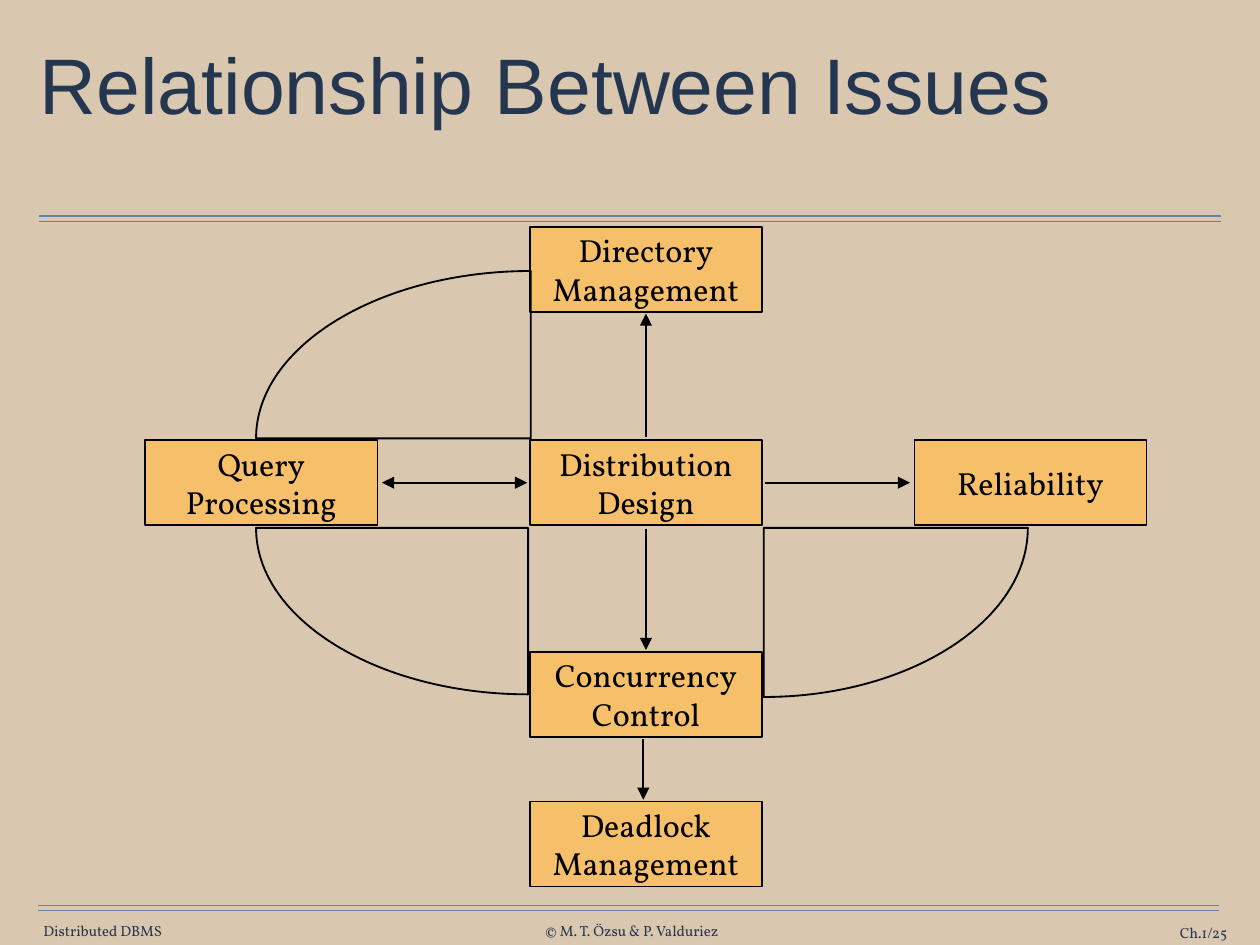
from lxml import etree
from pptx import Presentation
from pptx.dml.color import RGBColor
from pptx.enum.shapes import MSO_CONNECTOR, MSO_SHAPE
from pptx.enum.text import MSO_ANCHOR, PP_ALIGN
from pptx.oxml.ns import qn
from pptx.util import Inches, Pt

STRAIGHT = MSO_CONNECTOR.STRAIGHT
RECTANGLE = MSO_SHAPE.RECTANGLE
TOP, MIDDLE = MSO_ANCHOR.TOP, MSO_ANCHOR.MIDDLE
LEFT, CENTER, RIGHT = PP_ALIGN.LEFT, PP_ALIGN.CENTER, PP_ALIGN.RIGHT

SAND = RGBColor(0xD9, 0xC8, 0xAF)
TITLE_NAVY = RGBColor(0x25, 0x37, 0x50)
FOOTER_NAVY = RGBColor(0x26, 0x37, 0x50)
RULE_BLUE = RGBColor(0x66, 0x82, 0xAA)
ORANGE = RGBColor(0xF6, 0xBF, 0x69)
BLACK = RGBColor(0, 0, 0)

BOX_WIDTH, BOX_HEIGHT = 2.62, 0.96
COLUMN_STEP = 4.34
ROWS = (0, 2.41, 4.8, 6.49)
QUARTER_ARC = 0.55  # Bezier handle length for a quarter ellipse

# Text, column, row
ISSUES = (
    ("Directory\nManagement", 1, 0),
    ("Reliability", 2, 1),
    ("Deadlock\nManagement", 1, 3),
    ("Query\nProcessing", 0, 1),
    ("Concurrency\nControl", 1, 2),
    ("Distribution\nDesign", 1, 1),
)
# Start and end within the diagram, a little clear of the boxes; both ends
ARROWS = (
    ((5.65, 2.38), (5.65, 0.98), False),
    ((5.65, 3.41), (5.65, 4.78), False),
    ((5.62, 5.78), (5.62, 6.47), False),
    ((6.99, 2.89), (8.63, 2.89), False),
    ((2.67, 2.89), (4.31, 2.89), True),
)
# Corner x and y within the diagram, signed horizontal and vertical radius
SECTORS = (
    (4.35, 2.39, -3.1, -1.89),
    (4.32, 3.4, -3.07, 1.88),
    (6.98, 3.4, 2.98, 1.91),
)


def add_line(slide, start, end, color, width):
    line = slide.shapes.add_connector(
        STRAIGHT, *(Inches(value) for value in (*start, *end)))
    line.line.color.rgb = color
    line.line.width = Pt(width)
    etree.SubElement(line._element.spPr, qn("a:effectLst"))
    return line


def add_double_rule(slide, left, top, width):
    for y in (top, top + 0.06):
        add_line(slide, (left, y), (left + width, y), RULE_BLUE, 1)


def write_text(shape, text, font, size, color, align, anchor, margins):
    frame = shape.text_frame
    frame.text = text
    frame.word_wrap = True
    frame.vertical_anchor = anchor
    frame.margin_left = frame.margin_right = Inches(margins[0])
    frame.margin_top = frame.margin_bottom = Inches(margins[1])
    for paragraph in frame.paragraphs:
        paragraph.alignment = align
        paragraph.font.name = font
        paragraph.font.size = Pt(size)
        paragraph.font.color.rgb = color


def add_title(slide, left, top, width, height):
    add_double_rule(slide, left + 0.05, top + 1.95, 13.34)
    title = slide.shapes.add_textbox(
        Inches(left), Inches(top), Inches(width), Inches(height))
    write_text(title, "Relationship Between Issues", "Arial", 64, TITLE_NAVY,
               LEFT, TOP, (0.06, 0.06))
    title.text_frame.paragraphs[0].line_spacing = 0.87


def add_footer(slide, left, top):
    add_double_rule(slide, left, top, 13.33)
    for text, x, y, width, align in (
        ("Distributed DBMS", 0.04, 0.19, 1.38, CENTER),
        ("© M. T. Özsu & P. Valduriez", 5.66, 0.19, 2.08, CENTER),
        ("Ch.1/25", 11.88, 0.21, 1.54, RIGHT),
    ):
        label = slide.shapes.add_textbox(
            Inches(left + x), Inches(top + y), Inches(width), Inches(0.2))
        write_text(label, text, "Vollkorn", 12, FOOTER_NAVY, align, MIDDLE, (0, 0))
        label.text_frame.word_wrap = False


def add_issue(slide, left, top, text):
    box = slide.shapes.add_shape(
        RECTANGLE, Inches(left), Inches(top),
        Inches(BOX_WIDTH), Inches(BOX_HEIGHT))
    box.shadow.inherit = False
    box.fill.solid()
    box.fill.fore_color.rgb = ORANGE
    box.line.color.rgb = BLACK
    box.line.width = Pt(1.5)
    write_text(box, text, "Vollkorn", 26, BLACK, CENTER, MIDDLE, (0.14, 0.07))


def add_arrow(slide, start, end, both_ends):
    arrow = add_line(slide, start, end, BLACK, 1.5)
    line_properties = arrow.line._get_or_add_ln()
    for tag in ("a:headEnd", "a:tailEnd") if both_ends else ("a:tailEnd",):
        etree.SubElement(line_properties, qn(tag),
                         type="triangle", w="lg", len="lg")


def bend_first_side(freeform):
    """Turn the first straight side of a freeform into a quarter ellipse."""
    side = next(freeform._element.iter(qn("a:lnTo")))
    (x1, y1), (x2, y2) = (
        (int(point.get("x")), int(point.get("y")))
        for point in (side.getprevious()[0], side[0]))
    curve = etree.Element(qn("a:cubicBezTo"))
    for x, y in (
        (x1, y1 + QUARTER_ARC * (y2 - y1)),
        (x2 + QUARTER_ARC * (x1 - x2), y2),
        (x2, y2),
    ):
        etree.SubElement(curve, qn("a:pt"), x=str(round(x)), y=str(round(y)))
    side.getparent().replace(side, curve)


def add_sector(slide, x, y, radius_x, radius_y):
    """Draw a quarter ellipse with its square corner at (x, y)."""
    builder = slide.shapes.build_freeform(Inches(x + radius_x), Inches(y))
    builder.add_line_segments(
        [(Inches(x), Inches(y + radius_y)), (Inches(x), Inches(y))], close=True)
    sector = builder.convert_to_shape()
    bend_first_side(sector)
    sector.shadow.inherit = False
    sector.fill.background()
    sector.line.color.rgb = BLACK
    sector.line.width = Pt(1.5)


def add_diagram(slide, left, top):
    for text, column, row in ISSUES:
        add_issue(slide, left + column * COLUMN_STEP, top + ROWS[row], text)
    for (x1, y1), (x2, y2), both_ends in ARROWS:
        add_arrow(slide, (left + x1, top + y1), (left + x2, top + y2), both_ends)
    for x, y, radius_x, radius_y in SECTORS:
        add_sector(slide, left + x, top + y, radius_x, radius_y)


def main():
    presentation = Presentation()
    presentation.slide_width = Inches(14.22)
    presentation.slide_height = Inches(10.67)
    slide = presentation.slides.add_slide(presentation.slide_layouts[6])
    slide.background.fill.solid()
    slide.background.fill.fore_color.rgb = SAND
    add_footer(slide, 0.43, 10.22)
    add_title(slide, 0.39, 0.49, 13.44, 1.76)
    add_diagram(slide, 1.64, 2.56)
    presentation.save("out.pptx")


if __name__ == "__main__":
    main()
